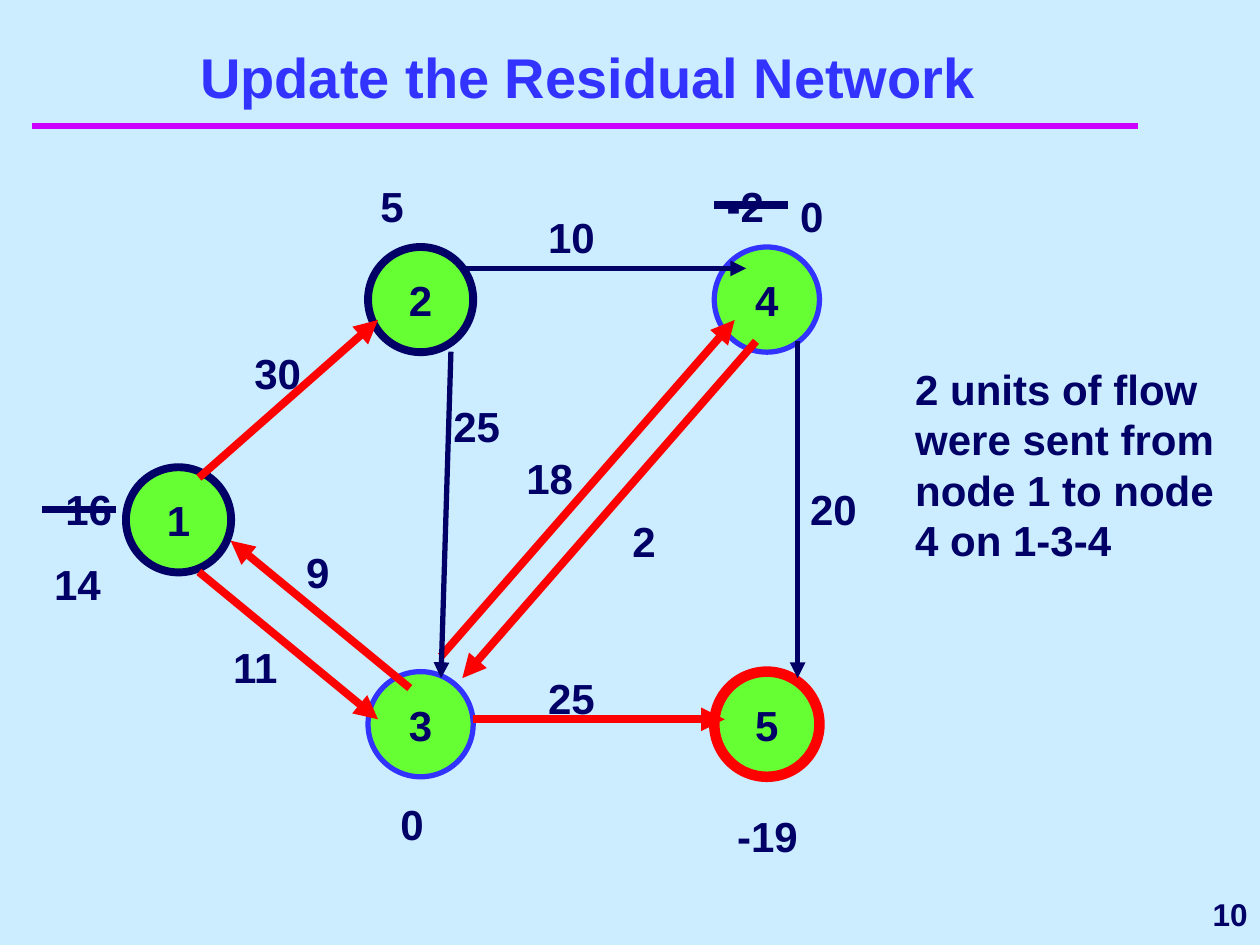
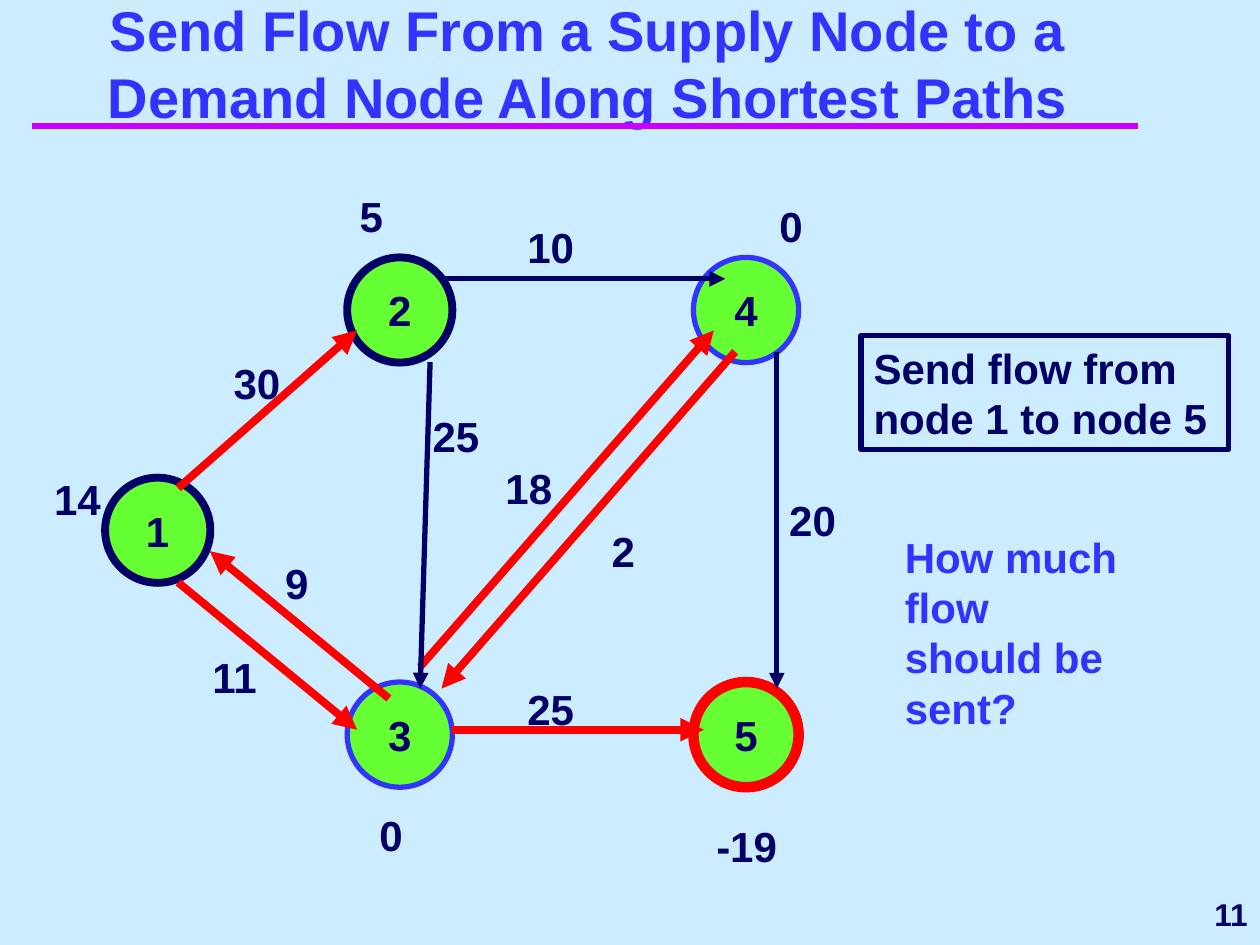
from lxml.etree import SubElement
from pptx import Presentation
from pptx.dml.color import RGBColor
from pptx.enum.shapes import MSO_CONNECTOR, MSO_SHAPE
from pptx.enum.text import MSO_ANCHOR, MSO_AUTO_SIZE, PP_ALIGN
from pptx.oxml.ns import qn
from pptx.util import Cm, Pt

FONT = "Arial"
SKY = RGBColor(0xCC, 0xEC, 0xFF)
MAGENTA = RGBColor(0xCC, 0x00, 0xFF)
NAVY = RGBColor(0x00, 0x00, 0x66)
BLUE = RGBColor(0x33, 0x33, 0xFF)
GREEN = RGBColor(0x66, 0xFF, 0x33)
RED = RGBColor(0xFF, 0x00, 0x00)

# All positions and sizes are in centimetres.
NODE_SIZE = 2.12
LABEL_HEIGHT = 1.27
SUPPLY_WIDTH = 1.9

# name, left, top, outline colour, outline width in points
NODES = [
    ("1", 2.54, 9.42, NAVY, 4.5),
    ("2", 7.42, 4.98, NAVY, 4.5),
    ("3", 7.42, 13.54, BLUE, 3),
    ("5", 14.4, 13.54, RED, 6),
    ("4", 14.4, 4.98, BLUE, 3),
]

# start, end, colour, width in points
ARCS = [
    ((4.01, 9.63), (7.62, 6.45), RED, 4.5),
    ((9.32, 5.41), (15.04, 5.41), NAVY, 3),
    ((16.08, 6.88), (16.08, 13.67), NAVY, 3),
    ((8.89, 13.23), (14.81, 6.45), RED, 4.5),
    ((4.01, 11.53), (7.62, 14.5), RED, 4.5),
    ((9.53, 14.5), (14.61, 14.5), RED, 4.5),
    ((9.09, 7.09), (8.89, 13.67), NAVY, 3),
    ((8.26, 13.87), (4.65, 10.9), RED, 4.5),
    ((15.24, 6.88), (9.32, 13.67), RED, 4.5),
]

# text, left, top, width
CAPACITIES = [
    ("10", 10.8, 4.14, 2.97),
    ("20", 16.08, 9.63, 2.97),
    ("18", 10.36, 8.99, 2.97),
    ("25", 10.8, 13.44, 2.97),
    ("25", 8.89, 7.95, 2.97),
    ("11", 4.45, 12.8, 1.7),
    ("30", 4.88, 6.88, 2.97),
    ("9", 5.92, 10.9, 1.7),
    ("2", 12.5, 10.26, 2.97),
]

# text, left, top
SUPPLIES = [
    ("5", 7.42, 3.51),
    ("0", 15.88, 3.71),
    ("0", 7.82, 15.98),
    ("-19", 14.61, 16.21),
]

# "shift" moves the whole network; the other entries are slide positions.
SLIDES = [
    {
        "title": "Update the Residual Network",
        "title_top": 1.27,
        "number": "10",
        "shift": (0, 0),
        "supplies": [("-2", 14.4, 3.51), ("16", 1.07, 9.63), ("14", 0.84, 11.13)],
        "strikes": [((14.4, 4.13), (15.88, 4.13)), ((0.84, 10.27), (2.33, 10.27))],
        "notes": [
            ("2 units of flow were sent from node 1 to node 4 on 1-3-4",
             (18.2, 7.2, 7.2, 4.32), NAVY, False),
        ],
    },
    {
        "title": "Send Flow From a Supply Node to a Demand Node Along Shortest Paths",
        "title_top": 1.69,
        "number": "11",
        "shift": (-0.42, 0.21),
        "supplies": [("14", 0.84, 9.42)],
        "strikes": [],
        "notes": [
            ("Send flow from node 1 to node 5", (17.36, 6.77, 7.41, 2.29), NAVY, True),
            ("How much flow should be sent?", (17.99, 10.58, 4.87, 4.32), BLUE, False),
        ],
    },
]


def cm_box(left, top, width, height):
    return Cm(left), Cm(top), Cm(width), Cm(height)


def write(sp, text, size=24, color=NAVY, align=PP_ALIGN.LEFT,
          anchor=MSO_ANCHOR.TOP, wrap=True):
    tf = sp.text_frame
    tf.auto_size = MSO_AUTO_SIZE.NONE
    tf.word_wrap = wrap
    tf.vertical_anchor = anchor
    p = tf.paragraphs[0]
    p.alignment = align
    r = p.add_run()
    r.text = text
    r.font.name = FONT
    r.font.size = Pt(size)
    r.font.bold = True
    r.font.color.rgb = color


def add_text(slide, text, box, **style):
    sp = slide.shapes.add_textbox(*cm_box(*box))
    write(sp, text, **style)
    return sp


def add_line(slide, start, end, color, width, arrow=False):
    line = slide.shapes.add_connector(
        MSO_CONNECTOR.STRAIGHT, *(Cm(v) for v in (*start, *end)))
    line.line.color.rgb = color
    line.line.width = Pt(width)
    if arrow:
        SubElement(line.line._get_or_add_ln(), qn("a:tailEnd"), type="triangle")
    SubElement(line._element.spPr, qn("a:effectLst"))


def add_node(slide, name, left, top, color, width):
    sp = slide.shapes.add_shape(
        MSO_SHAPE.OVAL, *cm_box(left, top, NODE_SIZE, NODE_SIZE))
    sp.shadow.inherit = False
    sp.fill.solid()
    sp.fill.fore_color.rgb = GREEN
    sp.line.color.rgb = color
    sp.line.width = Pt(width)
    write(sp, name, align=PP_ALIGN.CENTER, anchor=MSO_ANCHOR.MIDDLE, wrap=False)


def add_network(slide, shift):
    dx, dy = shift
    for name, left, top, color, width in NODES:
        add_node(slide, name, left + dx, top + dy, color, width)
    for (x1, y1), (x2, y2), color, width in ARCS:
        add_line(slide, (x1 + dx, y1 + dy), (x2 + dx, y2 + dy), color, width, arrow=True)
    labels = CAPACITIES + [(*supply, SUPPLY_WIDTH) for supply in SUPPLIES]
    for text, left, top, width in labels:
        add_text(slide, text, (left + dx, top + dy, width, LABEL_HEIGHT))


def add_frame(slide, title, title_top, number):
    """Add what every slide has: title, rule and slide number."""
    add_line(slide, (0.64, 2.54), (22.94, 2.54), MAGENTA, 4)
    add_text(slide, number, (20.53, 17.78, 4.87, 1.27), size=18,
             align=PP_ALIGN.RIGHT, anchor=MSO_ANCHOR.MIDDLE, wrap=False)
    sp = slide.shapes.title
    sp.left, sp.top, sp.width, sp.height = cm_box(1.06, title_top, 21.59, 1.06)
    write(sp, title, size=32, color=BLUE, align=PP_ALIGN.CENTER,
          anchor=MSO_ANCHOR.BOTTOM)


def build_slide(prs, content):
    slide = prs.slides.add_slide(prs.slide_layouts[5])
    add_frame(slide, content["title"], content["title_top"], content["number"])
    add_network(slide, content["shift"])
    for text, left, top in content["supplies"]:
        add_text(slide, text, (left, top, SUPPLY_WIDTH, LABEL_HEIGHT))
    for start, end in content["strikes"]:
        add_line(slide, start, end, NAVY, 4.5)
    for text, box, color, framed in content["notes"]:
        sp = add_text(slide, text, box, color=color)
        if framed:
            sp.line.color.rgb = NAVY
            sp.line.width = Pt(3)


def main():
    prs = Presentation()
    prs.slide_width, prs.slide_height = Cm(25.4), Cm(19.05)
    background = prs.slide_master.background.fill
    background.solid()
    background.fore_color.rgb = SKY
    for content in SLIDES:
        build_slide(prs, content)
    prs.save("out.pptx")


if __name__ == "__main__":
    main()
